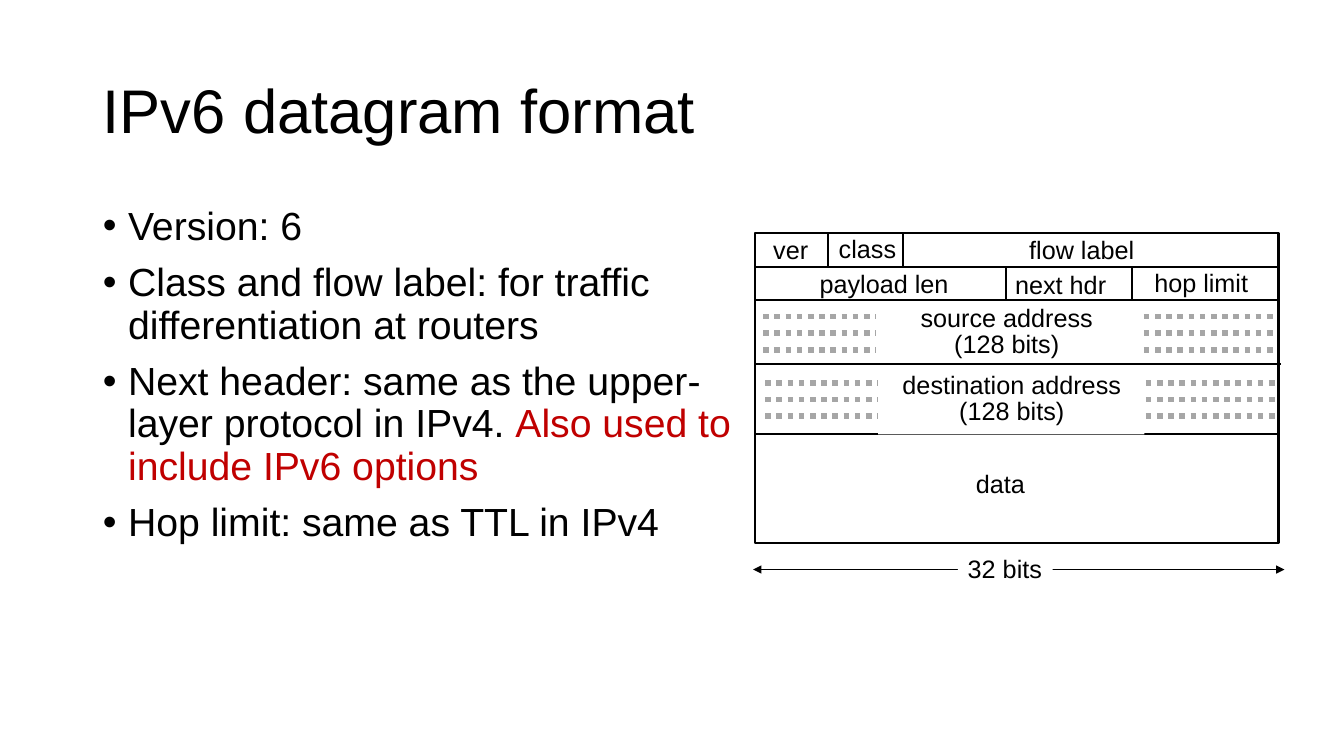
import pptx
import pptx.dml.color
import pptx.enum.dml
import pptx.enum.shapes
import pptx.enum.text
import pptx.oxml.ns
import pptx.util
from lxml import etree

Inches = pptx.util.Inches
Pt = pptx.util.Pt
ALIGN = pptx.enum.text.PP_ALIGN
ANCHOR = pptx.enum.text.MSO_ANCHOR
FONT = "Arial"
COLORS = {"ink": "000000", "accent": "C00000", "dots": "A6A6A6", "paper": "FFFFFF"}

BULLETS = [
    [("Version: 6", "ink")],
    [("Class and flow label: for traffic differentiation at routers", "ink")],
    [("Next header: same as the upper-layer protocol in IPv4. ", "ink"),
     ("Also used to include IPv6 options", "accent")],
    [("Hop limit: same as TTL in IPv4", "ink")],
]
ROW_RULES = [(7.5, 12.67, 2.65), (7.49, 12.69, 2.98), (7.5, 12.71, 3.61), (7.48, 12.69, 4.31)]
FIELD_RULES = [(8.21, 2.32), (8.96, 2.32), (9.98, 2.65), (11.23, 2.65)]
FIELD_LABELS = [
    ("ver", 7.57, 2.28, 0.55),
    ("class", 8.22, 2.27, 0.78),
    ("flow label", 10.11, 2.28, 1.24),
    ("payload len", 8.03, 2.61, 1.48),
    ("next hdr", 9.97, 2.62, 1.1),
    ("hop limit", 11.35, 2.6, 1.13),
    ("data", 9.58, 4.6, 0.69),
]
ADDRESSES = [
    ("source address", 7.57, 3.14, (8.69, 3.03, 2.63, 0.48), (9.03, 3, 1.91, 0.61)),
    ("destination address", 7.59, 3.8, (8.71, 3.7, 2.64, 0.61), (8.85, 3.66, 2.37, 0.61)),
]


def rgb(name):
    """Return the named colour."""
    return pptx.dml.color.RGBColor.from_string(COLORS[name])


def add_text(p, text, size=18, color="ink", align=ALIGN.LEFT, spacing=None):
    """Append a formatted run to a paragraph."""
    p.alignment = align
    p.line_spacing = spacing
    r = p.add_run()
    r.text = text
    r.font.name = FONT
    r.font.size = Pt(size)
    r.font.color.rgb = rgb(color)


def place(sp, left, top, width, height):
    """Move and size a shape in inches."""
    sp.left, sp.top = Inches(left), Inches(top)
    sp.width, sp.height = Inches(width), Inches(height)


def add_title(s, text):
    """Fill the title placeholder."""
    sp = s.shapes.title
    place(sp, 0.92, 0.4, 11.5, 1.45)
    sp.text_frame.auto_size = pptx.enum.text.MSO_AUTO_SIZE.NONE
    sp.text_frame.vertical_anchor = ANCHOR.MIDDLE
    add_text(sp.text_frame.paragraphs[0], text, size=44, spacing=0.9)


def add_bullets(s, bullets):
    """Fill the body placeholder with a bulleted list."""
    sp = s.placeholders[1]
    place(sp, 0.92, 2, 6.48, 4.76)
    tf = sp.text_frame
    tf.auto_size = pptx.enum.text.MSO_AUTO_SIZE.NONE
    for i, runs in enumerate(bullets):
        p = tf.add_paragraph() if i else tf.paragraphs[0]
        for text, color in runs:
            add_text(p, text, size=28, color=color, spacing=0.9)
        p.space_before = Pt(10)
        pPr = p._p.get_or_add_pPr()
        pPr.set("marL", str(Inches(0.25)))
        pPr.set("indent", str(Inches(-0.25)))


def add_box(s, left, top, width, height, line=None):
    """Add a white rectangle, outlined if a line width is given."""
    sp = s.shapes.add_shape(pptx.enum.shapes.MSO_SHAPE.RECTANGLE, Inches(left),
                            Inches(top), Inches(width), Inches(height))
    sp.shadow.inherit = False
    sp.fill.solid()
    sp.fill.fore_color.rgb = rgb("paper")
    if line:
        sp.line.color.rgb = rgb("ink")
        sp.line.width = Pt(line)
    else:
        sp.line.fill.background()


def add_label(s, lines, left, top, width, height=0.4, **fmt):
    """Add an unwrapped text box with one paragraph per line."""
    sp = s.shapes.add_textbox(Inches(left), Inches(top), Inches(width), Inches(height))
    tf = sp.text_frame
    tf.word_wrap = False
    for i, text in enumerate(lines):
        add_text(tf.add_paragraph() if i else tf.paragraphs[0], text, **fmt)


def add_line(s, x1, y1, x2, y2, color="ink", width=1.5, dotted=False, arrows=False):
    """Add a straight line, optionally dotted or with arrows at both ends."""
    sp = s.shapes.add_connector(pptx.enum.shapes.MSO_CONNECTOR.STRAIGHT,
                                Inches(x1), Inches(y1), Inches(x2), Inches(y2))
    sp.line.color.rgb = rgb(color)
    sp.line.width = Pt(width)
    if dotted:
        sp.line.dash_style = pptx.enum.dml.MSO_LINE.ROUND_DOT
    if arrows:
        ln = sp.line._get_or_add_ln()
        for end in ("a:headEnd", "a:tailEnd"):
            etree.SubElement(ln, pptx.oxml.ns.qn(end), type="triangle")
    etree.SubElement(sp._element.spPr, pptx.oxml.ns.qn("a:effectLst"))


def add_address(s, name, left, top, mask, label):
    """Add an address row: three dotted lines behind a masked label."""
    for i in range(3):
        y = top + i * 0.165
        add_line(s, left, y, left + 5.1, y, color="dots", width=4, dotted=True)
    add_box(s, *mask)
    add_label(s, [name, "(128 bits)"], *label, align=ALIGN.CENTER, spacing=0.85)


def add_datagram(s):
    """Draw the datagram diagram with its width marker."""
    add_box(s, 7.49, 2.31, 5.19, 3.08, line=1.5)
    for x1, x2, y in ROW_RULES:
        add_line(s, x1, y, x2, y)
    for x, y in FIELD_RULES:
        add_line(s, x, y, x, y + 0.32)
    for text, left, top, width in FIELD_LABELS:
        add_label(s, [text], left, top, width)
    add_line(s, 7.47, 5.65, 12.74, 5.65, width=0.75, arrows=True)
    add_box(s, 9.5, 5.44, 0.94, 0.4)
    add_label(s, ["32 bits"], 9.5, 5.44, 0.94)
    for address in ADDRESSES:
        add_address(s, *address)


def main():
    """Build and save the slide."""
    prs = pptx.Presentation()
    prs.slide_width, prs.slide_height = Inches(13.33), Inches(7.5)
    s = prs.slides.add_slide(prs.slide_layouts[1])
    add_title(s, "IPv6 datagram format")
    add_bullets(s, BULLETS)
    add_datagram(s)
    prs.save("out.pptx")


if __name__ == "__main__":
    main()
